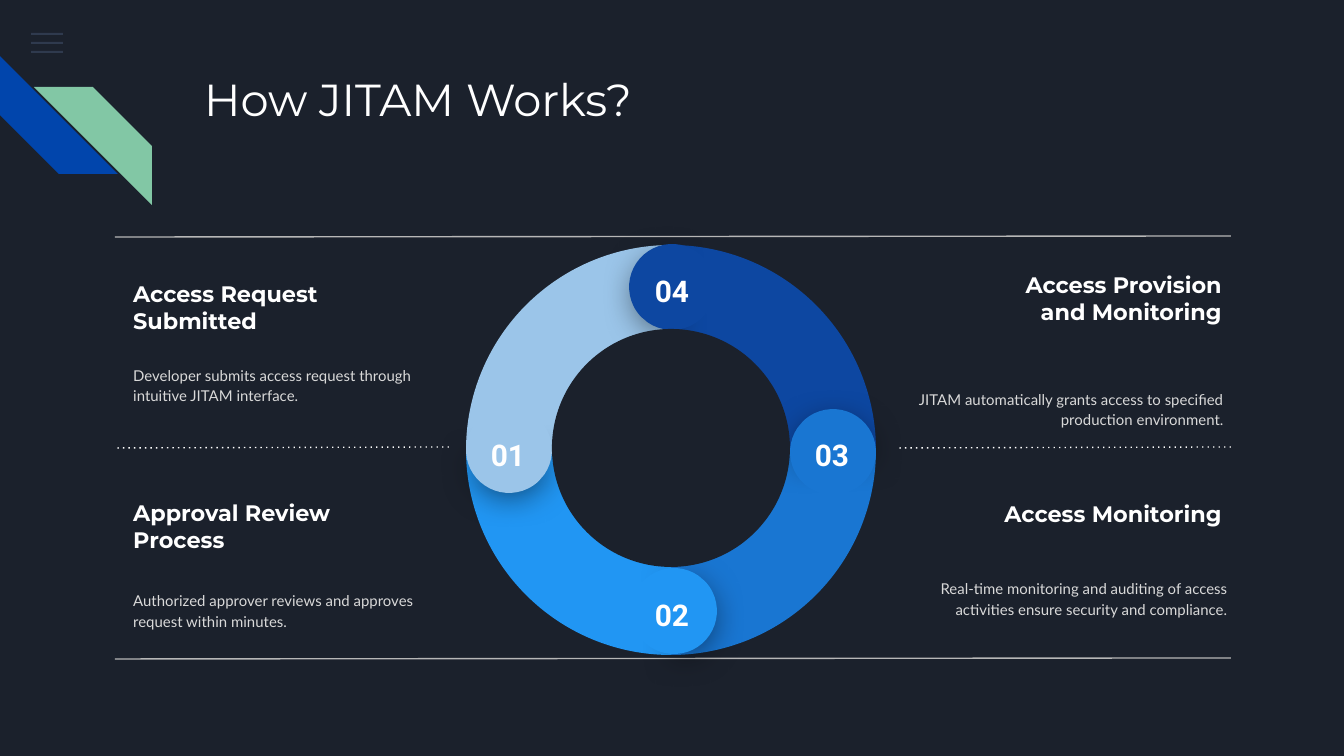
import dataclasses
import typing

import lxml.etree
import pptx
import pptx.dml.color
import pptx.enum.shapes
import pptx.enum.text
import pptx.oxml.ns
import pptx.util

SCALE = 914400 / 134.4  # EMU in one px
KIND = pptx.enum.shapes.MSO_SHAPE
LEFT = pptx.enum.text.PP_ALIGN.LEFT
MID = pptx.enum.text.PP_ALIGN.CENTER
RIGHT = pptx.enum.text.PP_ALIGN.RIGHT
TOP = pptx.enum.text.MSO_ANCHOR.TOP
MIDDLE = pptx.enum.text.MSO_ANCHOR.MIDDLE


@dataclasses.dataclass(frozen=True)
class Theme:
    back: str = "1B212C"
    white: str = "FFFFFF"
    soft: str = "D9D9D9"
    rule: str = "B7B7B7"
    menu: str = "55688B"
    blue: str = "0145AC"
    green: str = "82C7A5"
    ring: tuple = ("9BC5E9", "2196F3", "1976D2", "0D47A1")
    title: int = 24
    label: int = 16
    head: int = 12
    body: int = 8


THEME = Theme()


class Box(typing.NamedTuple):
    x: int
    y: int
    w: int
    h: int


class Style(typing.NamedTuple):
    face: str
    size: int
    tint: str
    bold: bool = False
    space: float = 1.0


class Step(typing.NamedTuple):
    head: str
    body: str
    top: Box
    low: Box
    side: typing.Any


class Cap(typing.NamedTuple):
    mark: str
    x: int  # centre of the round end
    y: int
    tx: int  # centre of the number
    ty: int


TITLE = Style("Montserrat", THEME.title, THEME.white)
HEAD = Style("Montserrat", THEME.head, THEME.white, True)
BODY = Style("Lato", THEME.body, THEME.soft, False, 1.15)
LABEL = Style("Roboto", THEME.label, THEME.white, True)

STEPS = (
    Step("Access Request Submitted",
         "Developer submits access request through intuitive JITAM interface.",
         Box(120, 274, 329, 66), Box(120, 320, 329, 128), LEFT),
    Step("Approval Review Process",
         "Authorized approver reviews and approves request within minutes.",
         Box(120, 493, 273, 66), Box(120, 533, 329, 153), LEFT),
    Step("Access Provision and Monitoring",
         "JITAM automatically grants access to specified production environment.",
         Box(962, 265, 273, 66), Box(902, 356, 335, 104), RIGHT),
    Step("Access Monitoring",
         "Real-time monitoring and auditing of access activities ensure security and compliance.",
         Box(962, 481, 273, 66), Box(902, 547, 339, 102), RIGHT),
)

CAPS = (
    Cap("01", 509, 450, 508, 443),
    Cap("02", 674, 611, 672, 603),
    Cap("03", 833, 452, 832, 443),
    Cap("04", 672, 287, 672, 279),
)


def px(n: float) -> int:
    return round(n * SCALE)


def tone(code: str):
    return pptx.dml.color.RGBColor.from_string(code)


def apply(item, vals: dict) -> None:
    for key, val in vals.items():
        setattr(item, key, val)


def node(base, tag: str, **vals):
    return lxml.etree.SubElement(base, pptx.oxml.ns.qn(tag), vals)


def square(x: int, y: int, size: int) -> Box:
    """Square box around a centre."""
    return Box(x - size // 2, y - size // 2, size, size)


def shape(slide, kind, box: Box, tint: str, turn: float = 0, angles: tuple = ()):
    item = slide.shapes.add_shape(kind, *map(px, box))
    item.shadow.inherit = False
    item.fill.solid()
    item.fill.fore_color.rgb = tone(tint)
    item.line.fill.background()
    item.rotation = turn
    for i, val in enumerate(angles):
        item.adjustments[i] = val
    return item


def text(slide, box: Box, words: str, style: Style, side, hold) -> None:
    frame = slide.shapes.add_textbox(*map(px, box)).text_frame
    inset = pptx.util.Inches(0.1)
    apply(frame, {"word_wrap": True, "vertical_anchor": hold,
                  "margin_left": inset, "margin_right": inset,
                  "margin_top": inset, "margin_bottom": inset})
    para = frame.paragraphs[0]
    apply(para, {"text": words, "alignment": side, "line_spacing": style.space})
    font = para.runs[0].font
    apply(font, {"name": style.face, "size": pptx.util.Pt(style.size), "bold": style.bold})
    font.color.rgb = tone(style.tint)


def rule(slide, left: int, right: int, y: int, tint: str, dots: bool) -> None:
    item = slide.shapes.add_connector(
        pptx.enum.shapes.MSO_CONNECTOR.STRAIGHT, px(right), px(y), px(left), px(y + 1))
    item.line.width = pptx.util.Pt(0.75)
    item.line.color.rgb = tone(tint)
    if dots:
        node(item.line._get_or_add_ln(), "a:prstDash", val="dot")
    node(item._element.spPr, "a:effectLst")


def shade(item) -> None:
    """Soft black shadow straight below."""
    glow = item._element.spPr.find(pptx.oxml.ns.qn("a:effectLst"))
    cast = node(glow, "a:outerShdw", blurRad=str(pptx.util.Pt(18)),
                dist=str(pptx.util.Pt(4)), dir="5400000", algn="bl", rotWithShape="0")
    node(node(cast, "a:srgbClr", val="000000"), "a:alpha", val="55000")


def corner(slide) -> None:
    for i in range(3):
        bar = shape(slide, KIND.RECTANGLE, Box(31, 33 + 9 * i, 32, 2), THEME.menu)
        fill = bar._element.spPr.find(pptx.oxml.ns.qn("a:solidFill"))
        node(fill[0], "a:alpha", val="36000")
    shape(slide, KIND.DIAGONAL_STRIPE, Box(0, 56, 118, 118), THEME.blue, 270, (0.5,))
    leaf = shape(slide, KIND.DIAGONAL_STRIPE, Box(34, 87, 118, 118), THEME.green, 0, (0.5,))
    leaf._element.spPr.xfrm.set("flipH", "1")


def wheel(slide) -> None:
    # Quarter bands, clockwise from the upper left
    for i in range(4):
        shape(slide, KIND.PIE, Box(466, 245, 410, 410), THEME.ring[-i], 90 * i,
              (107.96, 162.01))
    # Round ends with numbers, each a quarter turn back
    for i, cap in enumerate(CAPS):
        turn, tint = -90 * i % 360, THEME.ring[i]
        shade(shape(slide, KIND.PIE, square(cap.x, cap.y, 77), tint,
                    (turn + 39.5) % 360, (189.54, 83.81)))
        shape(slide, KIND.CHORD, square(cap.x, cap.y, 86), tint, turn + 4.1, (25.01, 18.12))
        text(slide, Box(cap.tx - 38, cap.ty - 20, 76, 40), cap.mark, LABEL, MID, TOP)
    shape(slide, KIND.OVAL, Box(552, 329, 238, 238), THEME.back)


def main() -> None:
    deck = pptx.Presentation()
    apply(deck, {"slide_width": px(1344), "slide_height": px(756)})
    slide = deck.slides.add_slide(deck.slide_layouts[6])
    slide.background.fill.solid()
    slide.background.fill.fore_color.rgb = tone(THEME.back)

    corner(slide)
    text(slide, Box(191, 58, 1035, 134), "How JITAM Works?", TITLE, LEFT, TOP)

    # Four steps
    for step in STEPS:
        text(slide, step.top, step.head, HEAD, step.side, MIDDLE)
        text(slide, step.low, step.body, BODY, step.side, MIDDLE)

    # Rules above, between and below the steps
    for y in (236, 658):
        rule(slide, 115, 1231, y, THEME.rule, False)
    for left, right in ((115, 449), (897, 1231)):
        rule(slide, left, right, 447, THEME.white, True)

    wheel(slide)
    deck.save("out.pptx")


if __name__ == "__main__":
    main()
